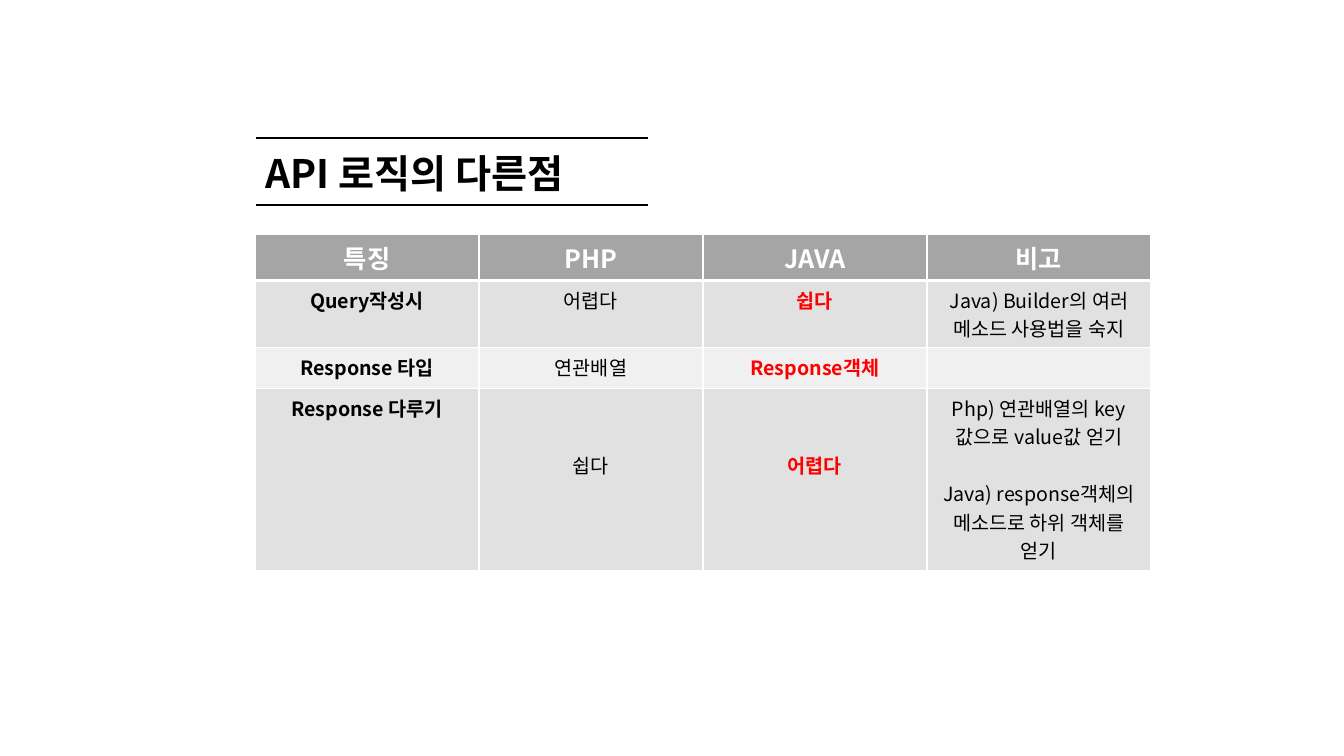
from lxml.etree import SubElement
from pptx import Presentation
from pptx.dml.color import RGBColor
from pptx.enum.text import PP_ALIGN
from pptx.oxml import parse_xml
from pptx.oxml.ns import nsdecls, qn
from pptx.util import Emu, Pt

# Content
TITLE = "API 로직의 다른점"
HEADERS = ["특징", "PHP", "JAVA", "비고"]
COMPARISONS = [
    ("Query작성시", "어렵다", "쉽다", "Java) Builder의 여러 메소드 사용법을 숙지"),
    ("Response 타입", "연관배열", "Response객체", ""),
    ("Response 다루기", "쉽다", "어렵다",
     "Php) 연관배열의 key값으로 value값 얻기\nJava) response객체의 메소드로 하위 객체를 얻기"),
]

# Layout in px
SLIDE_WIDTH, SLIDE_HEIGHT = 1344, 756
LEFT = 255
TITLE_TOP, TITLE_WIDTH, TITLE_HEIGHT = 138, 394, 67
GRID_TOP, COLUMN_WIDTH = 234, 224
ROW_HEIGHTS = [45, 67, 41, 182]
PADDING = 5
LOWERED = 62  # top margin of the verdicts in the last row
NOTE_GAP = 28

# Style
FONT = "Noto Sans CJK KR"
BLACK = RGBColor(0x00, 0x00, 0x00)
WHITE = RGBColor(0xFF, 0xFF, 0xFF)
RED = RGBColor(0xFF, 0x00, 0x00)
HEADER_GRAY = RGBColor(0xA5, 0xA5, 0xA5)
BANDS = [RGBColor(0xE1, 0xE1, 0xE1), RGBColor(0xF0, 0xF0, 0xF0)]


def px(length):
    return Emu(round(length * 914400 / 100.8))


def write(cell, text, size=14, color=BLACK, bold=False, align=PP_ALIGN.CENTER,
          top=PADDING, gap=0):
    cell.margin_top, cell.margin_bottom = px(top), px(PADDING)
    frame = cell.text_frame
    for number, line in enumerate(text.split("\n")):
        paragraph = frame.add_paragraph() if number else frame.paragraphs[0]
        paragraph.alignment = align
        paragraph.font.size = Pt(size)
        if number:
            paragraph.space_before = px(gap)
        if not line:
            # Keeps an empty cell from growing its row
            SubElement(paragraph._p, qn("a:endParaRPr"), sz=str(size * 100))
            continue
        run = paragraph.add_run()
        run.text = line
        run.font.size, run.font.bold, run.font.name = Pt(size), bold, FONT
        run.font.color.rgb = color
        SubElement(run.font._element, qn("a:ea"), typeface=FONT)


def set_borders(cell, left=WHITE, right=WHITE, top=WHITE, bottom=WHITE,
                top_width=1, bottom_width=1):
    borders = [("lnL", left, 1), ("lnR", right, 1),
               ("lnT", top, top_width), ("lnB", bottom, bottom_width)]
    properties = cell._tc.get_or_add_tcPr()
    for position, (side, color, width) in enumerate(borders):
        properties.insert(position, parse_xml(
            f'<a:{side} {nsdecls("a")} w="{Pt(width)}"><a:solidFill>'
            f'<a:srgbClr val="{color}"/></a:solidFill></a:{side}>'))


def add_plain_table(slide, top, column_widths, row_heights):
    table = slide.shapes.add_table(
        len(row_heights), len(column_widths), px(LEFT), px(top),
        px(sum(column_widths)), px(sum(row_heights))).table
    table.first_row = table.horz_banding = False
    for column, width in zip(table.columns, column_widths):
        column.width = px(width)
    for row, height in zip(table.rows, row_heights):
        row.height = px(height)
    return table


def add_comparison(slide):
    grid = add_plain_table(slide, GRID_TOP, [COLUMN_WIDTH] * len(HEADERS), ROW_HEIGHTS)
    for r, entries in enumerate([HEADERS, *COMPARISONS]):
        for c, text in enumerate(entries):
            cell = grid.cell(r, c)
            cell.fill.solid()
            cell.fill.fore_color.rgb = BANDS[(r - 1) % 2] if r else HEADER_GRAY
            set_borders(cell, top_width=3 if r == 1 else 1,
                        bottom_width=3 if r == 0 else 1)
            if r == 0:
                write(cell, text, size=18, color=WHITE, bold=True)
            else:
                is_verdict = c in (1, 2)
                write(cell, text, color=RED if c == 2 else BLACK, bold=c in (0, 2),
                      top=LOWERED if r == len(COMPARISONS) and is_verdict else PADDING,
                      gap=NOTE_GAP)


def add_title(slide):
    title = add_plain_table(slide, TITLE_TOP, [TITLE_WIDTH], [TITLE_HEIGHT]).cell(0, 0)
    title.fill.background()
    set_borders(title, top=BLACK, bottom=BLACK)
    write(title, TITLE, size=28, bold=True, align=PP_ALIGN.LEFT)


def main():
    deck = Presentation()
    deck.slide_width, deck.slide_height = px(SLIDE_WIDTH), px(SLIDE_HEIGHT)
    slide = deck.slides.add_slide(deck.slide_layouts[6])
    add_comparison(slide)
    add_title(slide)
    deck.save("out.pptx")


if __name__ == "__main__":
    main()
